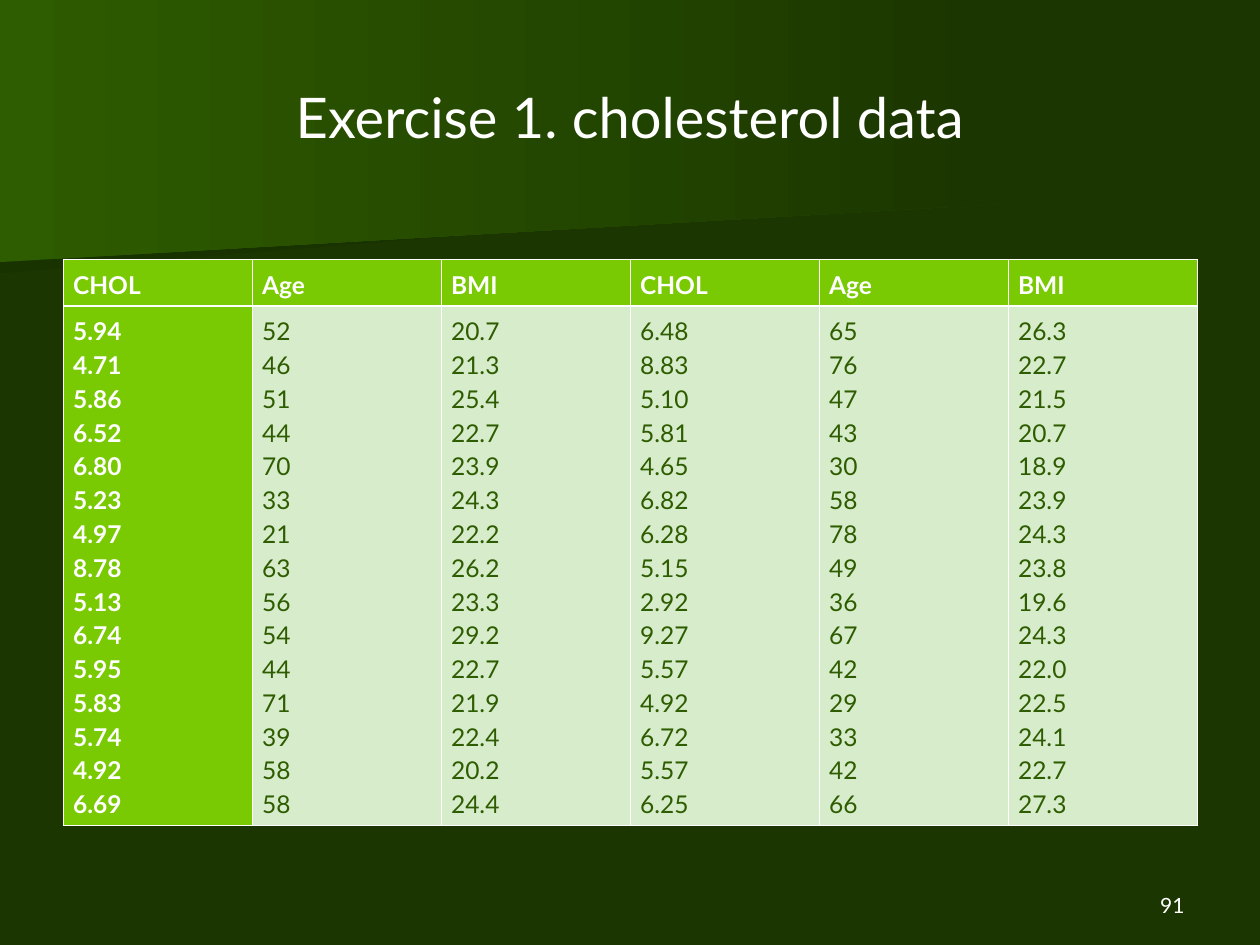
import dataclasses

import lxml.etree
import pptx
import pptx.dml.color
import pptx.enum.text
import pptx.oxml.ns
import pptx.util

Inches = pptx.util.Inches
Pt = pptx.util.Pt
ALIGN = pptx.enum.text.PP_ALIGN
ANCHOR = pptx.enum.text.MSO_ANCHOR

FONT = "Lato"
COLORS = {
    "background": "1B3600",
    "shade": "193300",
    "glow": "2E5C00",
    "accent": "79CA02",
    "pale": "D7ECCB",
    "white": "FFFFFF",
}
THIN, THICK = 0.45, 1.47  # table rule widths in points


@dataclasses.dataclass
class Band:
    start_color: str
    points: list[tuple[float, float]]


@dataclasses.dataclass
class Column:
    heading: str
    values: str


BANDS = [
    Band("shade", [(7.78, 1.53), (0, 2.17), (0, 1.01), (7.79, 1.01), (7.78, 1.28)]),
    Band("glow", [(7.92, 1.62), (0, 2.08), (0, 0), (7.92, 0)]),
]
COLUMNS = [
    Column("CHOL", "5.94 4.71 5.86 6.52 6.80 5.23 4.97 8.78 5.13 6.74 5.95 5.83 5.74 4.92 6.69"),
    Column("Age", "52 46 51 44 70 33 21 63 56 54 44 71 39 58 58"),
    Column("BMI", "20.7 21.3 25.4 22.7 23.9 24.3 22.2 26.2 23.3 29.2 22.7 21.9 22.4 20.2 24.4"),
    Column("CHOL", "6.48 8.83 5.10 5.81 4.65 6.82 6.28 5.15 2.92 9.27 5.57 4.92 6.72 5.57 6.25"),
    Column("Age", "65 76 47 43 30 58 78 49 36 67 42 29 33 42 66"),
    Column("BMI", "26.3 22.7 21.5 20.7 18.9 23.9 24.3 23.8 19.6 24.3 22.0 22.5 24.1 22.7 27.3"),
]


def rgb(name: str) -> pptx.dml.color.RGBColor:
    return pptx.dml.color.RGBColor.from_string(COLORS[name])


def write_text(frame, lines: list[str], *, size: float, color: str = "white",
               bold: bool = False, align=ALIGN.LEFT, spacing: float = 1.0) -> None:
    """Fill a text frame with one paragraph per line."""
    frame.word_wrap = True
    for index, line in enumerate(lines):
        paragraph = frame.paragraphs[0] if index == 0 else frame.add_paragraph()
        paragraph.alignment = align
        paragraph.line_spacing = spacing
        run = paragraph.add_run()
        run.text = line
        run.font.name = FONT
        run.font.size = Pt(size)
        run.font.bold = bold
        run.font.color.rgb = rgb(color)


def add_label(slide, text: str, left: float, top: float, width: float,
              height: float, anchor, **text_format) -> None:
    box = slide.shapes.add_textbox(Inches(left), Inches(top), Inches(width), Inches(height))
    box.text_frame.vertical_anchor = anchor
    write_text(box.text_frame, [text], **text_format)


def draw_band(slide, band: Band) -> None:
    """Draw a background wedge that fades into the slide colour."""
    start, *rest = [(Inches(x), Inches(y)) for x, y in band.points]
    builder = slide.shapes.build_freeform(*start)
    builder.add_line_segments(rest, close=True)
    wedge = builder.convert_to_shape()
    wedge.shadow.inherit = False
    wedge.line.fill.background()
    wedge.fill.gradient()
    wedge.fill.gradient_angle = 0
    for stop, position, color in zip(wedge.fill.gradient_stops, (0, 1),
                                     (band.start_color, "background")):
        stop.position = position
        stop.color.rgb = rgb(color)


def add_borders(cell, widths: dict[str, float]) -> None:
    qn = pptx.oxml.ns.qn
    properties = cell._tc.get_or_add_tcPr()
    for side, width in widths.items():
        rule = lxml.etree.SubElement(properties, qn(f"a:ln{side}"), w=str(Pt(width)))
        fill = lxml.etree.SubElement(rule, qn("a:solidFill"))
        lxml.etree.SubElement(fill, qn("a:srgbClr"), val=COLORS["white"])


def fill_cell(cell, lines: list[str], *, fill: str, top: float, bottom: float,
              **text_format) -> None:
    cell.margin_left = cell.margin_right = Inches(0.08)
    cell.margin_top = cell.margin_bottom = Inches(0.05)
    add_borders(cell, {"L": THIN, "R": THIN, "T": top, "B": bottom})
    cell.fill.solid()
    cell.fill.fore_color.rgb = rgb(fill)
    write_text(cell.text_frame, lines, size=14, spacing=1.15, **text_format)


def draw_table(slide, columns: list[Column]) -> None:
    """Draw a heading row above one tall row that lists each column's values."""
    table = slide.shapes.add_table(2, len(columns), Inches(0.5), Inches(2.06),
                                   Inches(9), Inches(4.29)).table
    table.first_col = True
    table.horz_banding = False
    for row, height in zip(table.rows, (0.27, 4.02)):
        row.height = Inches(height)
    for index, column in enumerate(columns):
        table.columns[index].width = Inches(1.5)
        fill_cell(table.cell(0, index), [column.heading], fill="accent",
                  top=THIN, bottom=THICK, bold=True)
        leading = index == 0
        fill_cell(table.cell(1, index), column.values.split(),
                  fill="accent" if leading else "pale", top=THICK, bottom=THIN,
                  color="white" if leading else "glow", bold=leading)


def main() -> None:
    deck = pptx.Presentation()
    deck.slide_width, deck.slide_height = Inches(10), Inches(7.5)
    slide = deck.slides.add_slide(deck.slide_layouts[6])

    # Background
    slide.background.fill.solid()
    slide.background.fill.fore_color.rgb = rgb("background")
    for band in BANDS:
        draw_band(slide, band)

    # Title, data and page number
    add_label(slide, "Exercise 1. cholesterol data", 0.5, 0.3, 9, 1.25,
              ANCHOR.MIDDLE, size=32, align=ALIGN.CENTER)
    draw_table(slide, COLUMNS)
    add_label(slide, "91", 7.17, 6.83, 2.33, 0.5, ANCHOR.BOTTOM, size=12, align=ALIGN.RIGHT)

    deck.save("out.pptx")


if __name__ == "__main__":
    main()
